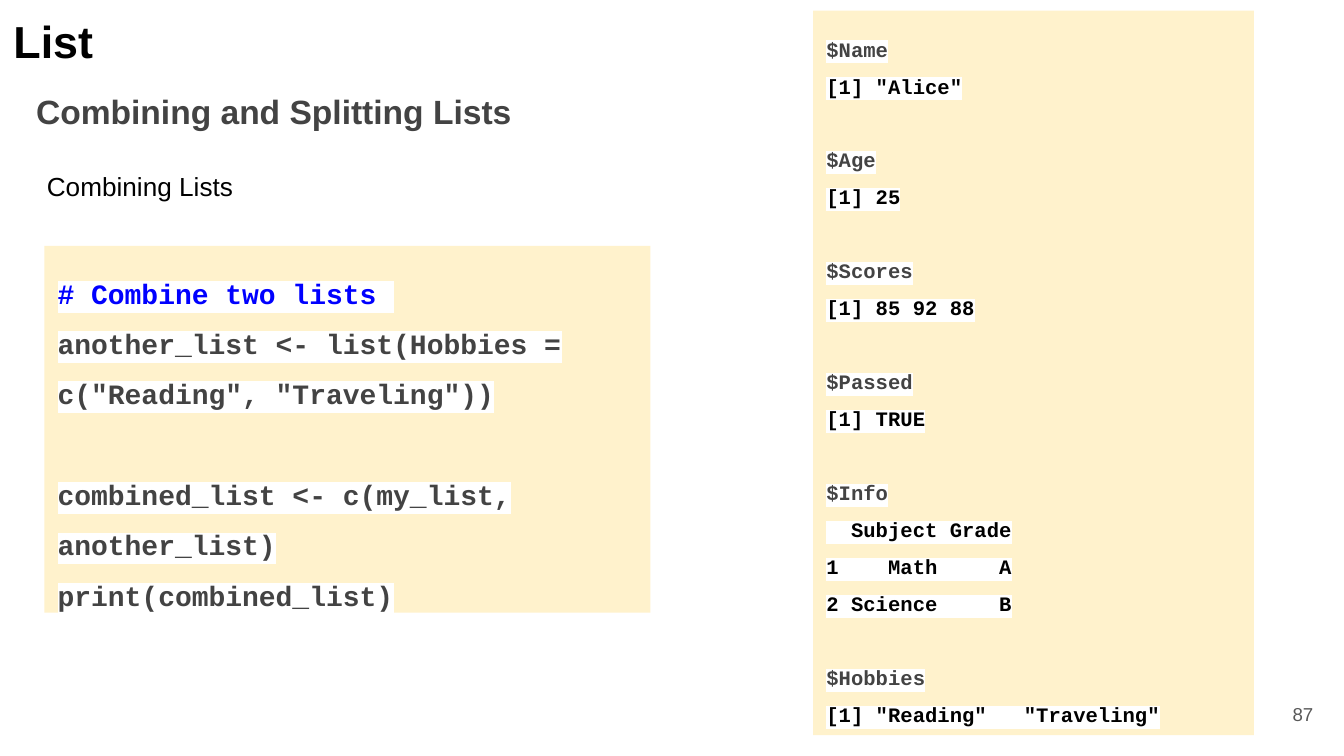
import dataclasses

import lxml.etree
import pptx
import pptx.dml.color
import pptx.enum.shapes
import pptx.enum.text
import pptx.oxml.ns
import pptx.util

Inches = pptx.util.Inches
Pt = pptx.util.Pt
Align = pptx.enum.text.PP_ALIGN
Anchor = pptx.enum.text.MSO_ANCHOR


@dataclasses.dataclass(frozen=True)
class Theme:
    black: str = "000000"
    dark: str = "434343"
    muted: str = "595959"
    comment: str = "0000FF"
    panel: str = "FFF2CC"
    highlight: str = "FFFFFF"
    body_font: str = "Arial"
    code_font: str = "Courier New"
    title_size: int = 24
    subtitle_size: int = 18
    label_size: int = 14
    code_size: int = 15
    output_size: int = 11
    number_size: int = 10
    code_spacing: float = 1.5
    code_gap: float = 1.8  # height of one code line, in type sizes


def rgb(value):
    return pptx.dml.color.RGBColor.from_string(value)


def write(paragraph, text, *, size, color, font, bold=False, align=Align.LEFT,
          highlight=None, line_spacing=1.0, space_before=0):
    paragraph.alignment = align
    paragraph.line_spacing = line_spacing
    paragraph.space_before = Pt(space_before)
    run = paragraph.add_run()
    run.text = text
    run.font.size = Pt(size)
    run.font.bold = bold
    run.font.name = font
    run.font.color.rgb = rgb(color)
    if highlight:
        qn = pptx.oxml.ns.qn
        mark = lxml.etree.Element(qn("a:highlight"))
        lxml.etree.SubElement(mark, qn("a:srgbClr"), val=highlight)
        run.font._element.find(qn("a:solidFill")).addnext(mark)


class SlideBuilder:
    def __init__(self, slide, theme):
        self.slide = slide
        self.theme = theme

    def frame(self, shape, anchor=Anchor.TOP):
        """Give a shape's text frame the common margins and wrapping."""
        frame = shape.text_frame
        frame.word_wrap = True
        frame.auto_size = pptx.enum.text.MSO_AUTO_SIZE.NONE
        frame.vertical_anchor = anchor
        frame.margin_left = frame.margin_right = Inches(0.1)
        frame.margin_top = frame.margin_bottom = Inches(0.1)
        return frame

    def title(self, text, left, top, width, height):
        title = self.slide.shapes.title
        title.left, title.top = Inches(left), Inches(top)
        title.width, title.height = Inches(width), Inches(height)
        write(self.frame(title).paragraphs[0], text, size=self.theme.title_size,
              color=self.theme.black, font=self.theme.body_font, bold=True)

    def text(self, text, left, top, width, height, anchor=Anchor.TOP, **style):
        box = self.slide.shapes.add_textbox(
            Inches(left), Inches(top), Inches(width), Inches(height))
        write(self.frame(box, anchor).paragraphs[0], text,
              font=self.theme.body_font, **style)

    def code(self, blocks, left, top, width, height, size):
        """Draw a panel of code; blocks of (line, colour) are one line apart."""
        panel = self.slide.shapes.add_shape(
            pptx.enum.shapes.MSO_SHAPE.RECTANGLE,
            Inches(left), Inches(top), Inches(width), Inches(height))
        panel.shadow.inherit = False
        panel.fill.solid()
        panel.fill.fore_color.rgb = rgb(self.theme.panel)
        panel.line.fill.background()
        frame = self.frame(panel)
        for block_index, block in enumerate(blocks):
            for line_index, (line, color) in enumerate(block):
                first = block_index == line_index == 0
                paragraph = frame.paragraphs[0] if first else frame.add_paragraph()
                starts_block = block_index > 0 and line_index == 0
                write(paragraph, line, size=size, color=color,
                      font=self.theme.code_font, bold=True,
                      highlight=self.theme.highlight,
                      line_spacing=self.theme.code_spacing,
                      space_before=size * self.theme.code_gap if starts_block else 0)


def main():
    theme = Theme()
    deck = pptx.Presentation()
    deck.slide_width = Inches(10)
    deck.slide_height = deck.slide_width * 9 // 16
    builder = SlideBuilder(deck.slides.add_slide(deck.slide_layouts[5]), theme)

    builder.title("List", 0, 0, 3.28, 0.61)
    builder.text("Combining and Splitting Lists", 0.17, 0.58, 4.51, 0.5,
                 size=theme.subtitle_size, color=theme.dark, bold=True)
    builder.text("Combining Lists", 0.25, 1.17, 3.28, 0.44,
                 size=theme.label_size, color=theme.black)

    program = [
        [("# Combine two lists ", theme.comment),
         ('another_list <- list(Hobbies = c("Reading", "Traveling"))', theme.dark)],
        [("combined_list <- c(my_list, another_list)", theme.dark),
         ("print(combined_list)", theme.dark)],
    ]
    builder.code(program, 0.33, 1.83, 4.51, 2.73, theme.code_size)

    printed = {
        "$Name": ['[1] "Alice"'],
        "$Age": ["[1] 25"],
        "$Scores": ["[1] 85 92 88"],
        "$Passed": ["[1] TRUE"],
        "$Info": ["  Subject Grade", "1    Math     A", "2 Science     B"],
        "$Hobbies": ['[1] "Reading"   "Traveling"'],
    }
    output = [[(name, theme.dark)] + [(line, theme.black) for line in lines]
              for name, lines in printed.items()]
    builder.code(output, 6.05, 0.08, 3.28, 5.39, theme.output_size)

    builder.text("87", 9.27, 5.1, 0.6, 0.43, anchor=Anchor.MIDDLE,
                 size=theme.number_size, color=theme.muted, align=Align.RIGHT)
    deck.save("out.pptx")


if __name__ == "__main__":
    main()
